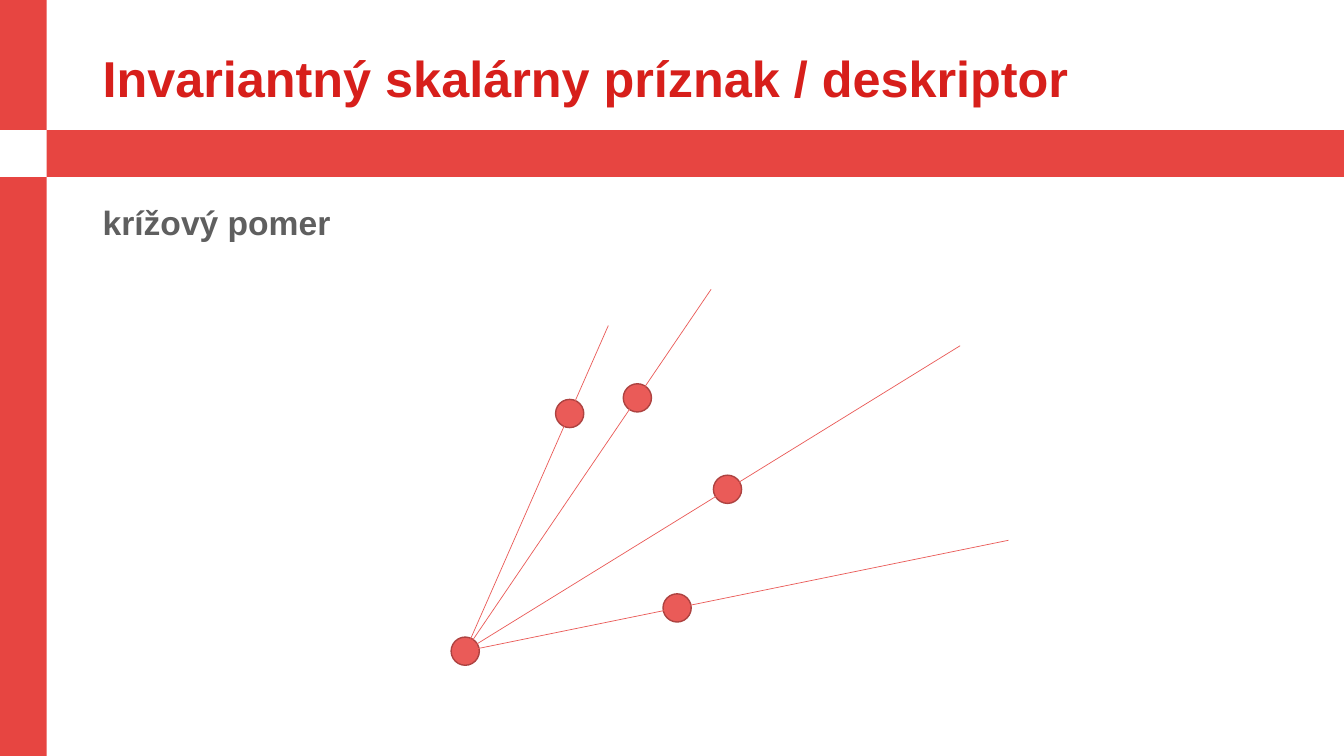
from lxml import etree
from pptx import Presentation
from pptx import util as u
from pptx.dml.color import RGBColor
from pptx.enum import shapes, text
from pptx.oxml import ns

HUES = {"band": "E74541", "gap": "FFFFFF", "title": "D71F1B",
        "body": "5F5F5F", "dot": "EA5B58", "rim": "AD4341"}
CELL = 0.1
WIDE, HIGH = 133.33, 75
BAR = 4.64


def size(cells):
    return u.Inches(cells * CELL)


def hue(name):
    return RGBColor.from_string(HUES[name])


def shape(slide, kind, box, fill, line=None):
    item = slide.shapes.add_shape(kind, *map(size, box))
    item.shadow.inherit = False
    item.fill.solid()
    item.fill.fore_color.rgb = hue(fill)
    if line:
        item.line.color.rgb = hue(line)
        item.line.width = u.Pt(1)
    else:
        item.line.fill.background()
    return item


def write(slide, words, box, points, tint, anchor=text.MSO_ANCHOR.TOP):
    frame = slide.shapes.add_textbox(*map(size, box)).text_frame
    frame.word_wrap = True
    frame.vertical_anchor = anchor
    para = frame.paragraphs[0]
    para.text = words
    para.line_spacing = 0.9
    font = para.font
    font.name, font.size, font.bold = "Arial", u.Pt(points), True
    font.color.rgb = hue(tint)


def line(slide, start, end):
    item = slide.shapes.add_connector(
        shapes.MSO_CONNECTOR.STRAIGHT, *map(size, start + end))
    item.line.color.rgb = hue("dot")
    item.line.width = u.Pt(0.5)
    etree.SubElement(item._element.spPr, ns.qn("a:effectLst"))


def frame(slide, box):
    left, top, width, height = box
    row = top + 12.9
    rect = shapes.MSO_SHAPE.RECTANGLE
    shape(slide, rect, (left, top, BAR, height), "band")
    shape(slide, rect, (left, row, width, BAR), "band")
    shape(slide, rect, (left, row, BAR, BAR), "gap")


def head(slide, box):
    write(slide, "Invariantný skalárny príznak / deskriptor", box, 36,
          "title", text.MSO_ANCHOR.MIDDLE)


def body(slide, box):
    write(slide, "krížový pomer", box, 24, "body")


def rays(slide, box):
    left, top, width, height = box
    dot = 2.8
    apex = (left + dot / 2, top + height - dot / 2)
    tips = [(0.7, 24.4, 35.9), (0.53, 49.1, 30.3),
            (0.39, 53.9, 11), (0.73, 14.2, 32.3)]
    for share, run, rise in [(0, 0, 0)] + tips:
        x, y = apex[0] + share * run, apex[1] - share * rise
        shape(slide, shapes.MSO_SHAPE.OVAL,
              (x - dot / 2, y - dot / 2, dot, dot), "dot", "rim")
    for share, run, rise in tips:
        line(slide, apex, (apex[0] + run, apex[1] - rise))


def main():
    deck = Presentation()
    deck.slide_width, deck.slide_height = size(WIDE), size(HIGH)
    slide = deck.slides.add_slide(deck.slide_layouts[6])
    frame(slide, (0, 0, WIDE, HIGH))
    head(slide, (9.2, 3.5, 115, 9.1))
    body(slide, (9.2, 20, 56.7, 47.6))
    rays(slide, (44.75, 28.7, 55.3, 37.3))
    deck.save("out.pptx")


if __name__ == "__main__":
    main()
